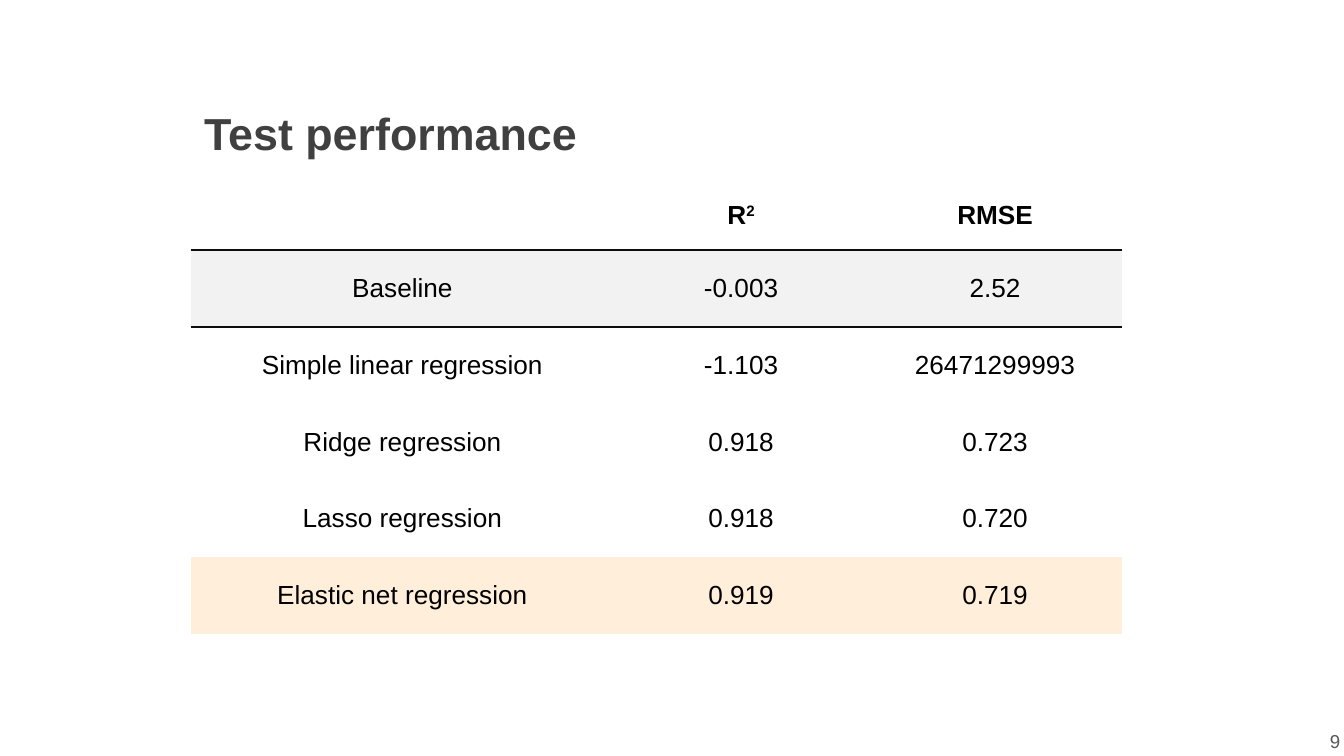
from lxml import etree
from pptx import Presentation
from pptx.dml.color import RGBColor
from pptx.enum.text import MSO_ANCHOR, PP_ALIGN
from pptx.oxml.ns import qn
from pptx.util import Pt

LEFT, CENTER, RIGHT = PP_ALIGN.LEFT, PP_ALIGN.CENTER, PP_ALIGN.RIGHT
MIDDLE = MSO_ANCHOR.MIDDLE

BLACK = RGBColor(0x00, 0x00, 0x00)
RULE = RGBColor(0x0D, 0x0D, 0x0D)
TITLE_GRAY = RGBColor(0x40, 0x40, 0x40)
NUMBER_GRAY = RGBColor(0x59, 0x59, 0x59)
BASELINE_FILL = RGBColor(0xF2, 0xF2, 0xF2)
BEST_FILL = RGBColor(0xFF, 0xEE, 0xD9)

FONT = "Arial"
INSET = Pt(7.2)
NO_STYLE_NO_GRID = "{2D5ABB26-0587-4C30-8999-92F81FD0307C}"

TITLE_BOX = (102.2, 48.2, 242.6, 45.4)
TABLE_BOX = (102.2, 97.2, 499, 242.6)
NUMBER_BOX = (681.8, 381.6, 43.2, 31)

COLUMN_SHARES = (5, 3, 3)
HEADER_HEIGHT = 36.7
ROWS = (
    ("", "R2", "RMSE"),
    ("Baseline", "-0.003", "2.52"),
    ("Simple linear regression", "-1.103", "26471299993"),
    ("Ridge regression", "0.918", "0.723"),
    ("Lasso regression", "0.918", "0.720"),
    ("Elastic net regression", "0.919", "0.719"),
)
ROW_FILLS = {1: BASELINE_FILL, 5: BEST_FILL}


def write_text(text_frame, text, size=14, color=BLACK, bold=False,
               align=CENTER, superscript=""):
    """Write one paragraph, ending in an optional raised part."""
    paragraph = text_frame.paragraphs[0]
    paragraph.alignment = align
    for part in filter(None, (text, superscript)):
        run = paragraph.add_run()
        run.text = part
        run.font.name = FONT
        run.font.size = Pt(size)
        run.font.bold = bold
        run.font.color.rgb = color
    if superscript:
        run._r.get_or_add_rPr().set("baseline", "30000")


def set_frame(shape, box):
    """Place a text shape in its box, with equal insets and centred height."""
    shape.left, shape.top, shape.width, shape.height = map(Pt, box)
    frame = shape.text_frame
    frame.word_wrap = True
    frame.vertical_anchor = MIDDLE
    frame.margin_left = frame.margin_right = INSET
    frame.margin_top = frame.margin_bottom = INSET
    return frame


def add_title(slide, box):
    frame = set_frame(slide.shapes.title, box)
    write_text(frame, "Test performance", size=24, color=TITLE_GRAY,
               bold=True, align=LEFT)


def add_slide_number(slide, box):
    shape = slide.shapes.add_textbox(*map(Pt, box))
    write_text(set_frame(shape, box), "9", size=10, color=NUMBER_GRAY,
               align=RIGHT)


def set_border(cell, side):
    """Draw a thin rule on the side "T" or "B" of a cell."""
    properties = cell._tc.get_or_add_tcPr()
    line = etree.Element(qn(f"a:ln{side}"), w=str(Pt(1)))
    fill = etree.SubElement(line, qn("a:solidFill"))
    etree.SubElement(fill, qn("a:srgbClr"), val=str(RULE))
    properties.insert(0, line)


def fill_cell(cell, text, row):
    cell.vertical_anchor = MIDDLE
    if row in ROW_FILLS:
        cell.fill.solid()
        cell.fill.fore_color.rgb = ROW_FILLS[row]
    else:
        cell.fill.background()
    if row < 2:
        set_border(cell, "BT"[row])
    if text == "R2":
        write_text(cell.text_frame, "R", bold=True, superscript="2")
    else:
        write_text(cell.text_frame, text, bold=row == 0)


def add_results_table(slide, box):
    left, top, width, height = box
    frame = slide.shapes.add_table(len(ROWS), len(COLUMN_SHARES),
                                   *map(Pt, box))
    table = frame.table
    table.first_row = table.horz_banding = False
    table._tbl.tblPr.find(qn("a:tableStyleId")).text = NO_STYLE_NO_GRID
    for column, share in zip(table.columns, COLUMN_SHARES):
        column.width = Pt(width * share / sum(COLUMN_SHARES))
    body_height = (height - HEADER_HEIGHT) / (len(ROWS) - 1)
    for row, texts in enumerate(ROWS):
        table.rows[row].height = Pt(body_height if row else HEADER_HEIGHT)
        for column, text in enumerate(texts):
            fill_cell(table.cell(row, column), text, row)


def main():
    presentation = Presentation()
    presentation.slide_width = Pt(720)
    presentation.slide_height = Pt(405)
    slide = presentation.slides.add_slide(presentation.slide_layouts[5])
    add_title(slide, TITLE_BOX)
    add_results_table(slide, TABLE_BOX)
    add_slide_number(slide, NUMBER_BOX)
    presentation.save("out.pptx")


if __name__ == "__main__":
    main()
